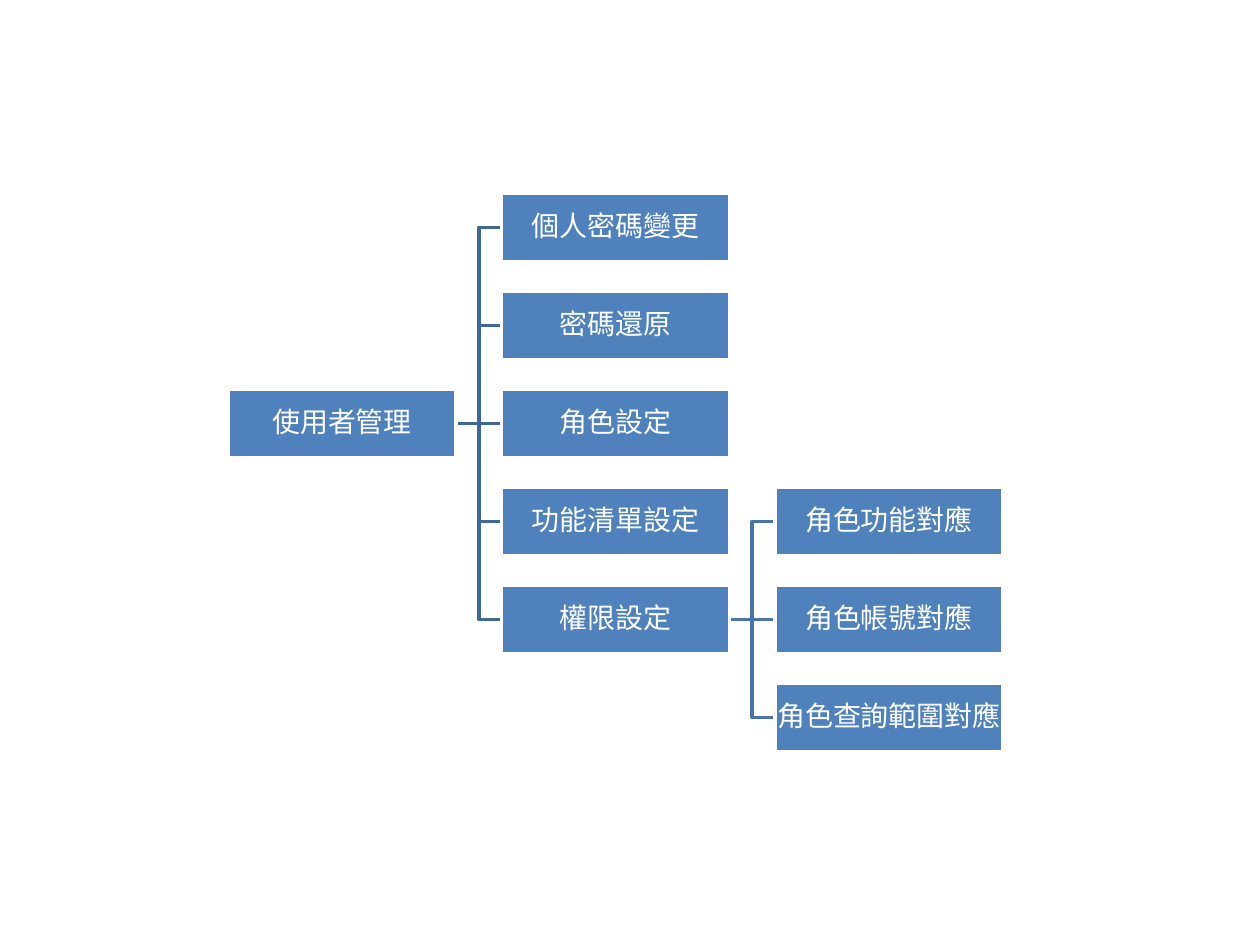
from dataclasses import dataclass

from lxml.etree import SubElement
from pptx import Presentation
from pptx.dml.color import RGBColor
from pptx.enum.shapes import MSO_CONNECTOR as Connector, MSO_SHAPE as Shape
from pptx.enum.text import MSO_ANCHOR as Anchor, PP_ALIGN as Align
from pptx.oxml.ns import qn
from pptx.util import Inches, Pt


@dataclass(frozen=True)
class Theme:
    """Colours, type and line sizes of the chart."""
    box: str = "4F81BD"
    white: str = "FFFFFF"
    first_branch: str = "3F6797"
    second_branch: str = "4875AC"
    font: str = "Noto Sans CJK SC"
    text_size: int = 16
    line_width: int = 2


THEME = Theme()
LEFT, TOP, BOX_WIDTH, BOX_HEIGHT = 1.81, 1.53, 1.81, 0.55
COLUMN_STEP = 2.17
ROW_STEP = (5.42 - TOP) / 5
LEFT_SITE, RIGHT_SITE = 1, 3

NODES = {
    "使用者管理": (0, 2),
    "個人密碼變更": (1, 0),
    "密碼還原": (1, 1),
    "角色設定": (1, 2),
    "功能清單設定": (1, 3),
    "權限設定": (1, 4),
    "角色功能對應": (2, 3),
    "角色帳號對應": (2, 4),
    "角色查詢範圍對應": (2, 5),
}
BRANCHES = [
    ("權限設定", 2, THEME.second_branch),
    ("使用者管理", 1, THEME.first_branch),
]


def set_line(line, color):
    """Give a line its colour and the common width."""
    line.color.rgb = RGBColor.from_string(color)
    line.width = Pt(THEME.line_width)


def write_text(shape, text, *, size=THEME.text_size, color=THEME.white, font=THEME.font):
    """Write one centred line of text in a shape."""
    frame = shape.text_frame
    frame.word_wrap = True
    frame.vertical_anchor = Anchor.MIDDLE
    frame.margin_left = frame.margin_right = Inches(0.01)
    frame.margin_top = frame.margin_bottom = Inches(0.01)
    paragraph = frame.paragraphs[0]
    paragraph.alignment = Align.CENTER
    paragraph.line_spacing = 0.9
    run = paragraph.add_run()
    run.text = text
    run.font.size = Pt(size)
    run.font.color.rgb = RGBColor.from_string(color)
    run.font.name = font
    SubElement(run.font._element, qn("a:ea"), typeface=font)


def add_box(slide, text, column, row):
    """Add a labelled box at a place in the grid."""
    shape = slide.shapes.add_shape(
        Shape.RECTANGLE,
        Inches(LEFT + column * COLUMN_STEP), Inches(TOP + row * ROW_STEP),
        Inches(BOX_WIDTH), Inches(BOX_HEIGHT))
    shape.shadow.inherit = False
    shape.fill.solid()
    shape.fill.fore_color.rgb = RGBColor.from_string(THEME.box)
    set_line(shape.line, THEME.white)
    write_text(shape, text)
    return shape


def add_link(slide, parent, child, color):
    """Add the connector between two grid places, to be attached to boxes."""
    (parent_column, parent_row), (child_column, child_row) = parent, child
    kind = Connector.STRAIGHT if parent_row == child_row else Connector.ELBOW
    middle = TOP + BOX_HEIGHT / 2
    link = slide.shapes.add_connector(
        kind,
        Inches(LEFT + parent_column * COLUMN_STEP + BOX_WIDTH),
        Inches(middle + parent_row * ROW_STEP),
        Inches(LEFT + child_column * COLUMN_STEP),
        Inches(middle + child_row * ROW_STEP))
    set_line(link.line, color)
    SubElement(link._element.spPr, qn("a:effectLst"))
    return link


def main():
    """Build the function tree and save it."""
    presentation = Presentation()
    presentation.slide_width, presentation.slide_height = Inches(10), Inches(7.5)
    slide = presentation.slides.add_slide(presentation.slide_layouts[6])
    links = [
        (add_link(slide, NODES[parent], place, color), parent, child)
        for parent, column, color in BRANCHES
        for child, place in NODES.items() if place[0] == column
    ]
    boxes = {text: add_box(slide, text, *place) for text, place in NODES.items()}
    for link, parent, child in links:
        link.begin_connect(boxes[parent], RIGHT_SITE)
        link.end_connect(boxes[child], LEFT_SITE)
    presentation.save("out.pptx")


main()
